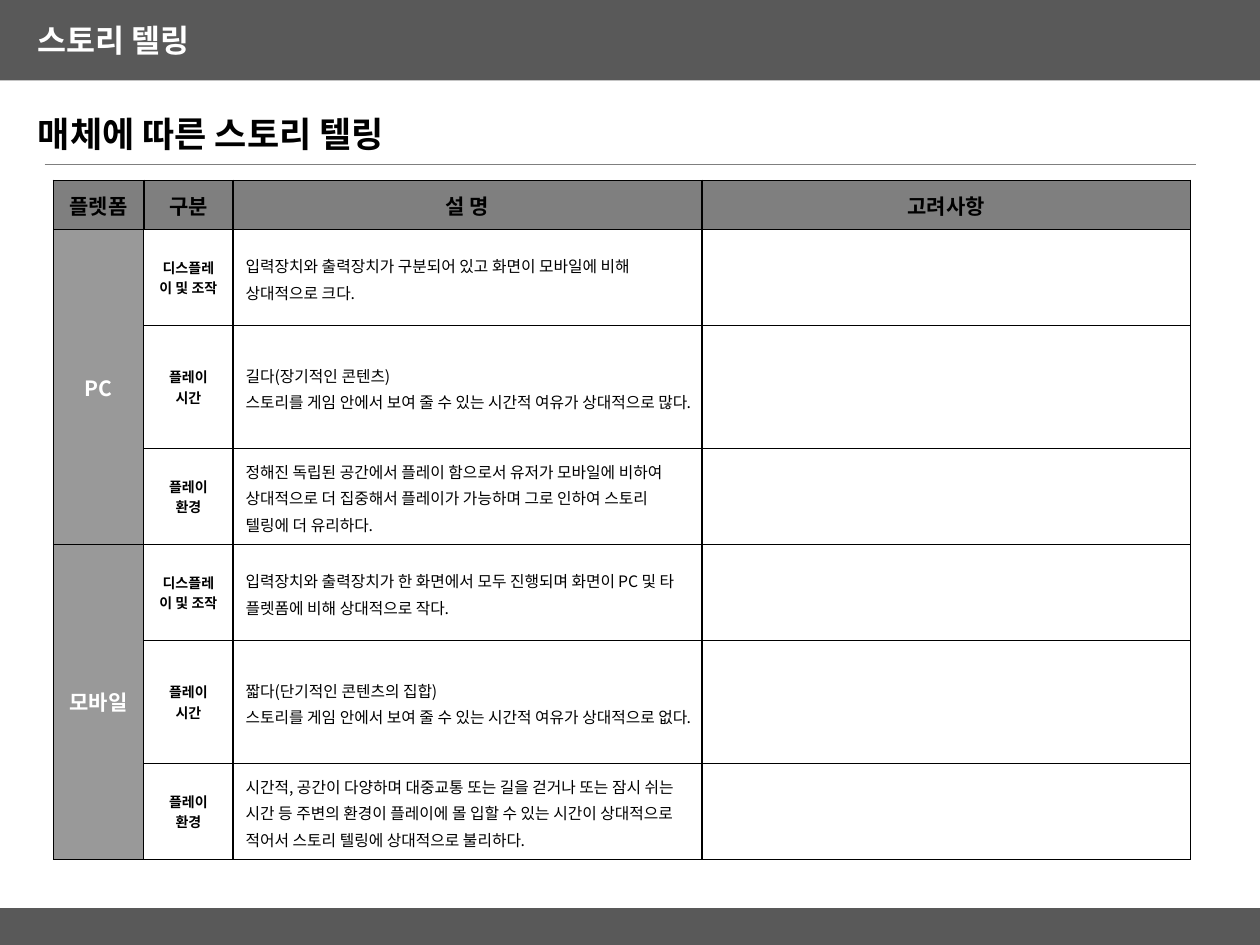
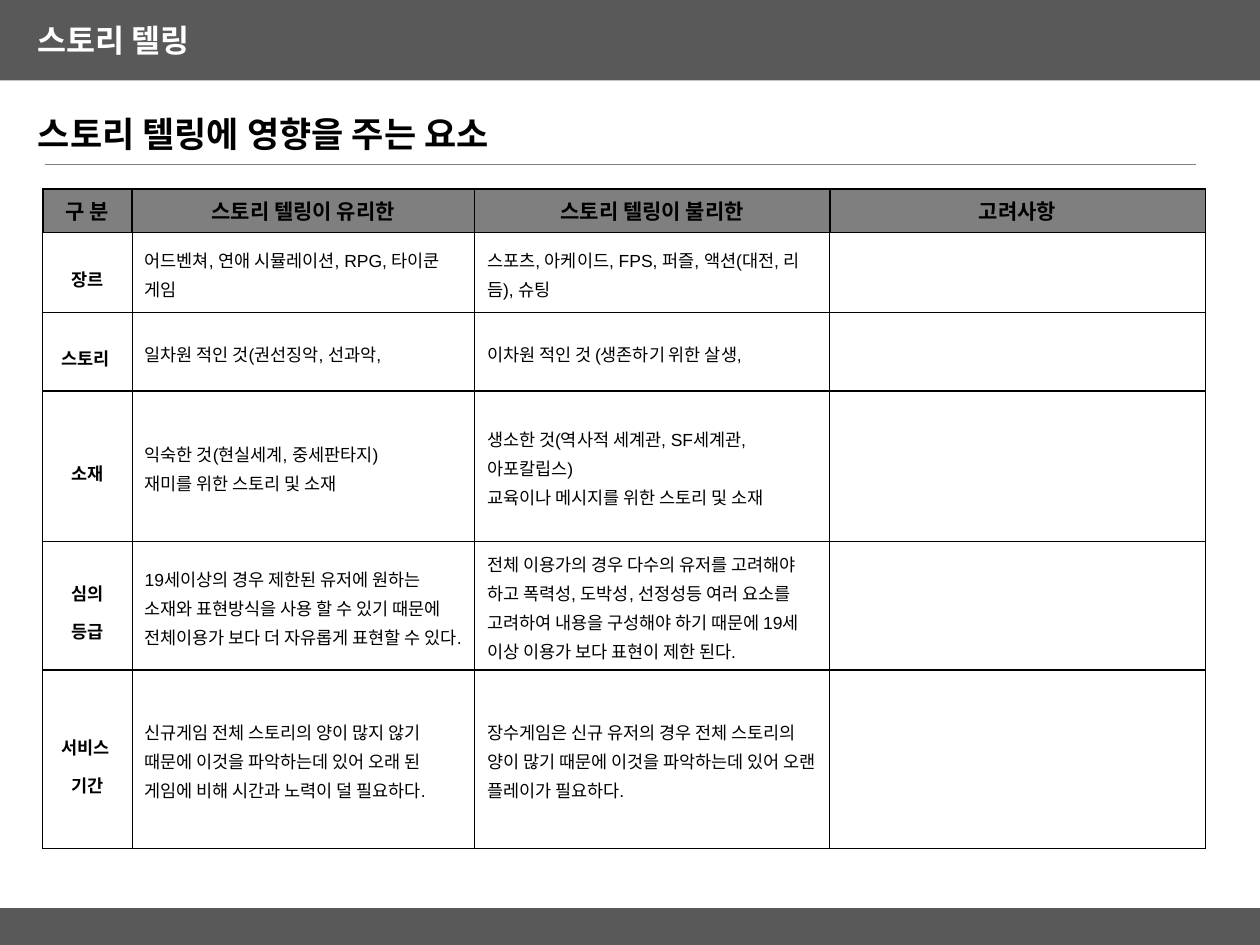
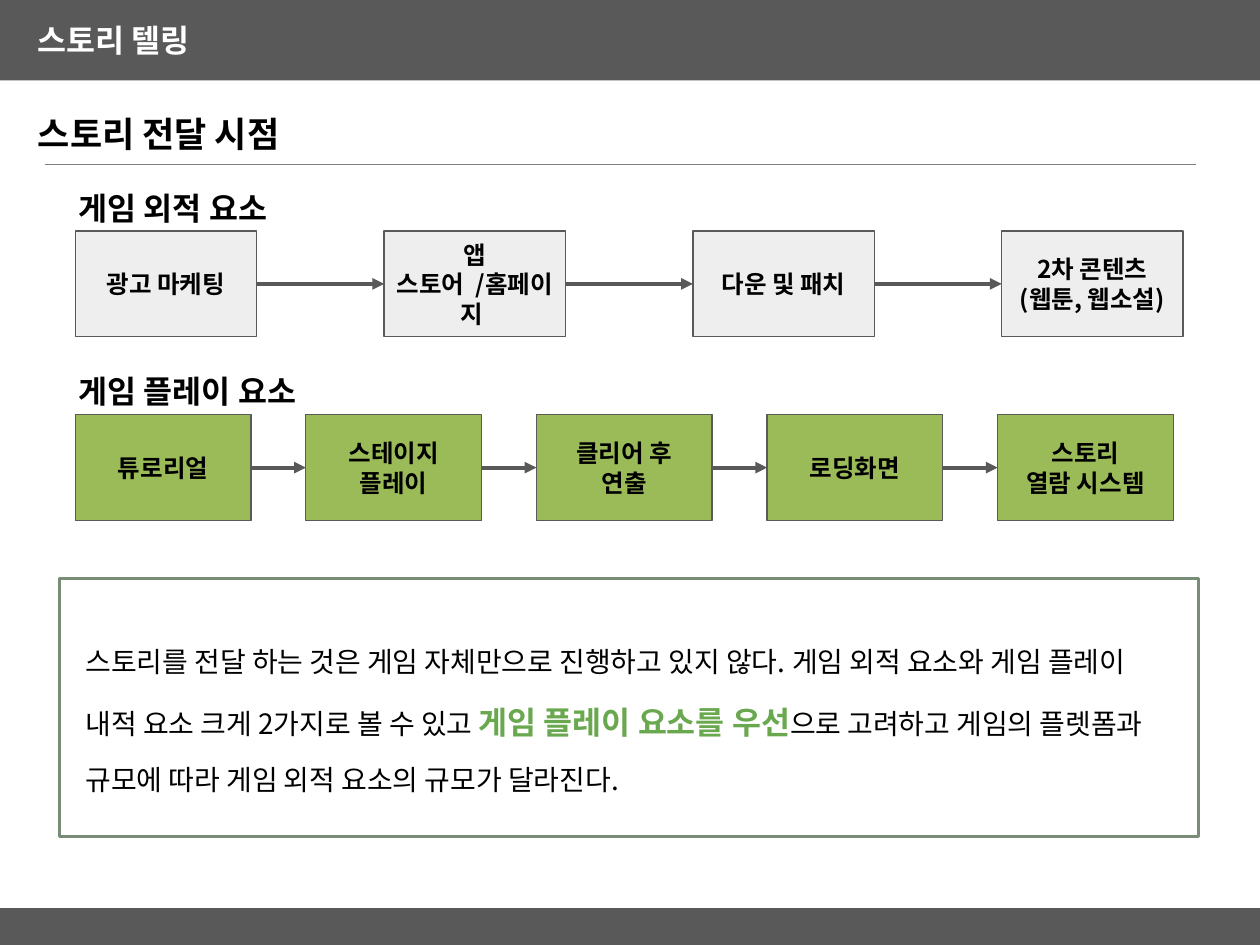
from dataclasses import dataclass, replace
from itertools import pairwise

from lxml.etree import SubElement
from pptx import Presentation
from pptx.dml.color import RGBColor
from pptx.enum.shapes import MSO_CONNECTOR, MSO_SHAPE
from pptx.enum.text import MSO_ANCHOR, MSO_AUTO_SIZE, PP_ALIGN
from pptx.oxml.ns import qn
from pptx.util import Pt

NOTO = "Noto Sans CJK KR"
ARIAL = "Arial"
BLACK, WHITE = "000000", "FFFFFF"
DARK, MID, LIGHT, PALE = "595959", "7F7F7F", "999999", "EEEEEE"
LEAF, SAGE, ACCENT = "9BBB59", "788C78", "6AA84F"
SLIDE_W, SLIDE_H = 720, 540
SECTION = "스토리 텔링"


@dataclass(frozen=True)
class Style:
    size: float
    color: str = BLACK
    bold: bool = False
    font: str = NOTO
    align: PP_ALIGN = PP_ALIGN.LEFT
    spacing: float = 1.0


TITLE = Style(20, bold=True)
SUBTITLE = Style(18, bold=True)
SECTION_STYLE = replace(SUBTITLE, color=WHITE)
STEP = Style(14, bold=True, align=PP_ALIGN.CENTER)
SUMMARY = Style(16, spacing=1.66)
EMPHASIS = replace(SUMMARY, size=18, color=ACCENT, bold=True)
HEADER = Style(12, bold=True, font=ARIAL, align=PP_ALIGN.CENTER)
PLATFORM = replace(HEADER, color=WHITE, font=NOTO)
ASPECT = replace(HEADER, size=8)
DESCRIPTION = Style(9, spacing=1.15)
FACTOR = replace(HEADER, size=10, spacing=1.5)
FACTOR_NOTE = Style(10, font=ARIAL, spacing=1.15)


def rgb(hex_color):
    return RGBColor.from_string(hex_color)


def place(box):
    return [Pt(length) for length in box]


def add_run(paragraph, text, style):
    run = paragraph.add_run()
    run.text = text
    font = run.font
    font.name, font.size, font.bold = style.font, Pt(style.size), style.bold
    font.color.rgb = rgb(style.color)
    SubElement(run._r.get_or_add_rPr(), qn("a:ea"), typeface=NOTO)


def write(frame, paragraphs, style):
    """Write paragraphs, each given as a list of (text, style) runs."""
    for index, runs in enumerate(paragraphs):
        paragraph = frame.add_paragraph() if index else frame.paragraphs[0]
        paragraph.alignment = style.align
        paragraph.line_spacing = style.spacing
        for text, run_style in runs:
            add_run(paragraph, text, run_style)


def write_lines(frame, text, style):
    write(frame, [[(line, style)] for line in text.split("\n")], style)


def set_frame(frame, anchor=MSO_ANCHOR.TOP, inset=3.6):
    frame.word_wrap = True
    frame.auto_size = MSO_AUTO_SIZE.NONE
    frame.vertical_anchor = anchor
    frame.margin_left = frame.margin_right = Pt(7.2)
    frame.margin_top = frame.margin_bottom = Pt(inset)


def add_text(slide, box, text, style):
    frame = slide.shapes.add_textbox(*place(box)).text_frame
    set_frame(frame)
    write_lines(frame, text, style)


def add_rect(slide, box, fill=None, line=None, weight=0.75):
    rect = slide.shapes.add_shape(MSO_SHAPE.RECTANGLE, *place(box))
    rect.shadow.inherit = False
    if fill:
        rect.fill.solid()
        rect.fill.fore_color.rgb = rgb(fill)
    else:
        rect.fill.background()
    if line:
        rect.line.color.rgb = rgb(line)
        rect.line.width = Pt(weight)
    else:
        rect.line.fill.background()
    return rect


def add_line(slide, start, end, color, weight):
    line = slide.shapes.add_connector(MSO_CONNECTOR.STRAIGHT, *place(start + end))
    line.line.color.rgb = rgb(color)
    line.line.width = Pt(weight)
    SubElement(line.element.spPr, qn("a:effectLst"))
    return line


def add_arrow(slide, source, target):
    arrow = add_line(slide, (0, 0), (0, 0), DARK, 2.25)
    arrow.begin_connect(source, 3)
    arrow.end_connect(target, 1)
    SubElement(arrow.line._get_or_add_ln(), qn("a:tailEnd"), type="triangle")


def add_slide(prs, heading):
    """Add a slide with the shared bands, section name, title and rule."""
    slide = prs.slides.add_slide(prs.slide_layouts[5])
    add_rect(slide, (0, 0, SLIDE_W, 46), DARK)
    add_rect(slide, (0, 519, SLIDE_W, 21), DARK)
    add_line(slide, (25.5, 94.2), (683.5, 94.2), MID, 0.75)
    add_text(slide, (14.4, 8.5, 371.5, 29), SECTION, SECTION_STYLE)
    title = slide.shapes.title
    title.left, title.top, title.width, title.height = place((14.4, 60.5, 638.5, 31.7))
    set_frame(title.text_frame)
    write_lines(title.text_frame, heading, TITLE)
    return slide


def set_borders(cell, weights):
    properties = cell._tc.get_or_add_tcPr()
    for side, weight in zip("LRTB", weights):
        border = SubElement(properties, qn(f"a:ln{side}"), w=str(Pt(weight)))
        SubElement(SubElement(border, qn("a:solidFill")), qn("a:srgbClr"), val=BLACK)


def fill_cell(cell, text, style, fill, weights):
    set_borders(cell, weights)
    cell.fill.solid()
    cell.fill.fore_color.rgb = rgb(fill)
    cell.vertical_anchor = MSO_ANCHOR.MIDDLE
    cell.margin_left = cell.margin_right = Pt(7.2)
    cell.margin_top = cell.margin_bottom = Pt(3.6)
    if text:
        write_lines(cell.text_frame, text, style)


def add_grid(slide, origin, widths, heights, rows, styles, fills):
    """Add a table whose body styles and fills are given by column."""
    box = (*origin, sum(widths), sum(heights))
    table = slide.shapes.add_table(len(heights), len(widths), *place(box)).table
    table.first_row = table.horz_banding = False
    for column, width in zip(table.columns, widths):
        column.width = Pt(width)
    for row, height in zip(table.rows, heights):
        row.height = Pt(height)
    for r, texts in enumerate(rows):
        for c, text in enumerate(texts):
            style, fill, weights = styles[c], fills[c], (0.75,) * 4
            if r == 0:
                style, fill, weights = HEADER, MID, (1, 1, 1, 0.75)
            fill_cell(table.cell(r, c), text, style, fill, weights)
    return table


def add_platform_slide(prs):
    slide = add_slide(prs, "매체에 따른 스토리 텔링")
    controls, time, setting = "디스플레이 및 조작", "플레이\n시간", "플레이 환경"
    rows = [
        ("플렛폼", "구분", "설 명", "고려사항"),
        ("PC", controls, "입력장치와 출력장치가 구분되어 있고 화면이 모바일에 비해 상대적으로 크다.", ""),
        ("", time, "길다(장기적인 콘텐츠)\n"
         "스토리를 게임 안에서 보여 줄 수 있는 시간적 여유가 상대적으로 많다.", ""),
        ("", setting, "정해진 독립된 공간에서 플레이 함으로서 유저가 모바일에 비하여 상대적으로 "
         "더 집중해서 플레이가 가능하며 그로 인하여 스토리 텔링에 더 유리하다.", ""),
        ("모바일", controls, "입력장치와 출력장치가 한 화면에서 모두 진행되며 화면이 PC 및 "
         "타 플렛폼에 비해 상대적으로 작다.", ""),
        ("", time, "짧다(단기적인 콘텐츠의 집합)\n"
         "스토리를 게임 안에서 보여 줄 수 있는 시간적 여유가 상대적으로 없다.", ""),
        ("", setting, "시간적, 공간이 다양하며 대중교통 또는 길을 걷거나 또는 잠시 쉬는 시간 등 "
         "주변의 환경이 플레이에 몰 입할 수 있는 시간이 상대적으로 적어서 "
         "스토리 텔링에 상대적으로 불리하다.", ""),
    ]
    table = add_grid(
        slide, (30.5, 103), (51.7, 51, 268, 279), (28.2, *(54.8, 70.3, 54.8) * 2), rows,
        (PLATFORM, ASPECT, DESCRIPTION, DESCRIPTION), (LIGHT, WHITE, WHITE, WHITE))
    for first in (1, 4):
        table.cell(first, 0).merge(table.cell(first + 2, 0))


def add_factor_slide(prs):
    slide = add_slide(prs, "스토리 텔링에 영향을 주는 요소")
    rows = [
        ("구 분", "스토리 텔링이 유리한", "스토리 텔링이 불리한", "고려사항"),
        ("장르", "어드벤쳐, 연애 시뮬레이션, RPG, 타이쿤 게임",
         "스포츠, 아케이드, FPS, 퍼즐, 액션(대전, 리듬), 슈팅", ""),
        ("스토리 ", "일차원 적인 것(권선징악, 선과악,", "이차원 적인 것 (생존하기 위한 살생,", ""),
        ("소재", "익숙한 것(현실세계, 중세판타지)\n재미를 위한 스토리 및 소재",
         "생소한 것(역사적 세계관, SF세계관, 아포칼립스)\n"
         "교육이나 메시지를 위한 스토리 및 소재", ""),
        ("심의 등급", "19세이상의 경우 제한된 유저에 원하는 소재와 표현방식을 사용 할 수 있기 "
         "때문에 전체이용가 보다 더 자유롭게 표현할 수 있다.",
         "전체 이용가의 경우 다수의 유저를 고려해야 하고 폭력성, 도박성, 선정성등 여러 요소를 "
         "고려하여 내용을 구성해야 하기 때문에 19세 이상 이용가 보다 표현이 제한 된다.", ""),
        ("서비스 \n기간", "신규게임 전체 스토리의 양이 많지 않기 때문에 이것을 파악하는데 있어 "
         "오래 된 게임에 비해 시간과 노력이 덜 필요하다.",
         "장수게임은 신규 유저의 경우 전체 스토리의 양이 많기 때문에 이것을 파악하는데 있어 "
         "오랜 플레이가 필요하다.", ""),
    ]
    add_grid(
        slide, (24.5, 108), (51, 195.7, 203, 214.7), (24.7, 45.8, 45, 86, 72, 102), rows,
        (FACTOR, FACTOR_NOTE, FACTOR_NOTE, FACTOR_NOTE), (WHITE,) * 4)


def add_flow(slide, box, label, steps, step_width, fill):
    """Spread the steps evenly over the box, join them and label them above."""
    left, top, width, height = box
    add_text(slide, (left - 5, top - 27.8, 175, 31.7), label, SUBTITLE)
    pitch = (width - step_width) / (len(steps) - 1)
    rects = []
    for index, step in enumerate(steps):
        rect = add_rect(slide, (left + index * pitch, top, step_width, height), fill, DARK)
        set_frame(rect.text_frame, MSO_ANCHOR.MIDDLE, 7.2)
        write_lines(rect.text_frame, step, STEP)
        rects.append(rect)
    for source, target in pairwise(rects):
        add_arrow(slide, source, target)


def add_summary(slide, box, runs):
    left, top, width, height = box
    add_rect(slide, box, line=SAGE, weight=2)
    text_box = (left + 7.8, top + 21.6, width - 15.6, height - 31)
    frame = slide.shapes.add_textbox(*place(text_box)).text_frame
    set_frame(frame)
    write(frame, [runs], SUMMARY)


def add_timing_slide(prs):
    slide = add_slide(prs, "스토리 전달 시점")
    add_flow(slide, (43, 132, 633, 60.4), "게임 외적 요소",
             ("광고 마케팅", "앱 스토어  /홈페이지 ", "다운 및 패치", "2차 콘텐츠\n(웹툰, 웹소설)"),
             103.6, PALE)
    add_flow(slide, (43, 237, 627.5, 60.4), "게임 플레이 요소",
             ("튜로리얼", "스테이지\n플레이", "클리어 후\n연출", "로딩화면", "스토리\n열람 시스템"),
             100.4, LEAF)
    add_summary(slide, (34, 330.5, 651, 147.5), [
        ("스토리를 전달 하는 것은 게임 자체만으로 진행하고 있지 않다. 게임 외적 요소와 "
         "게임 플레이 내적 요소 크게 2가지로 볼 수 있고 ", SUMMARY),
        ("게임 플레이 요소를 우선", EMPHASIS),
        ("으로 고려하고 게임의 플렛폼과 규모에 따라 게임 외적 요소의 규모가 달라진다.", SUMMARY),
    ])


def main():
    prs = Presentation()
    prs.slide_width, prs.slide_height = Pt(SLIDE_W), Pt(SLIDE_H)
    add_platform_slide(prs)
    add_factor_slide(prs)
    add_timing_slide(prs)
    prs.save("out.pptx")


if __name__ == "__main__":
    main()
